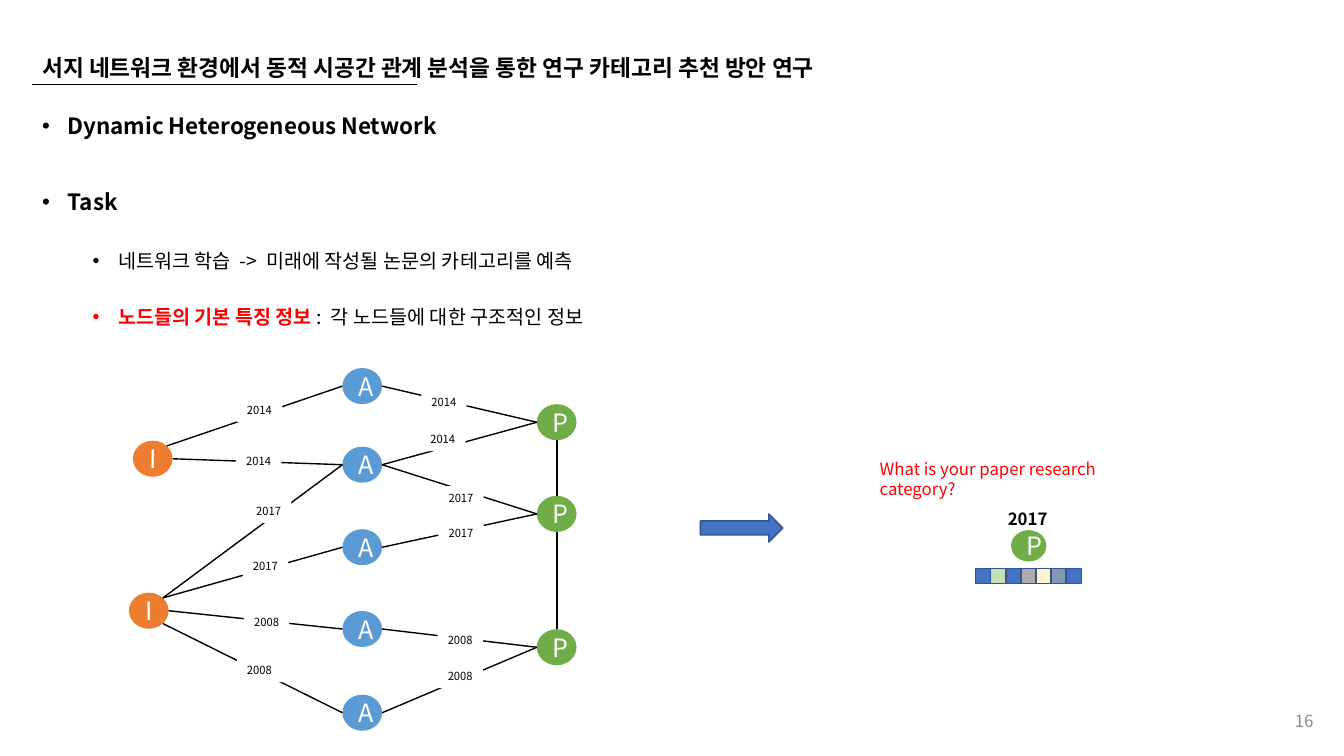
from lxml import etree
from pptx import Presentation
from pptx.dml.color import RGBColor
from pptx.enum.shapes import MSO_CONNECTOR, MSO_SHAPE
from pptx.enum.text import MSO_ANCHOR, PP_ALIGN
from pptx.oxml.ns import qn
from pptx.util import Cm, Pt

FONT = "Noto Sans CJK KR"
LINE = MSO_CONNECTOR.STRAIGHT
OVAL, RECT, ARROW = MSO_SHAPE.OVAL, MSO_SHAPE.RECTANGLE, MSO_SHAPE.RIGHT_ARROW
MIDDLE, TOP = MSO_ANCHOR.MIDDLE, MSO_ANCHOR.TOP
LEFT, CENTER, RIGHT = PP_ALIGN.LEFT, PP_ALIGN.CENTER, PP_ALIGN.RIGHT
COLORS = {
    "black": "000000", "white": "FFFFFF", "red": "FF0000", "gray": "8C8C8C",
    "I": "ED7D31", "A": "5B9BD5", "P": "70AD47", "blue": "4472C4",
    "outline": "325491", "mint": "C5E0B4", "silver": "AFABAB",
    "cream": "FFF2CC", "slate": "8497B0",
}


def add_run(p, text, size, color="black", bold=False):
    """Append a formatted run to a paragraph."""
    r = p.add_run()
    r.text = text
    r.font.size, r.font.bold, r.font.name = Pt(size), bold, FONT
    r.font.color.rgb = RGBColor.from_string(COLORS[color])
    etree.SubElement(r.font._element, qn("a:ea"), typeface=FONT)


def add_box(kind, x, y, w, h, fill=None, line=None):
    """Add a flat preset shape at a position in centimetres."""
    sp = s.shapes.add_shape(kind, Cm(x), Cm(y), Cm(w), Cm(h))
    sp.shadow.inherit = False
    if fill:
        sp.fill.solid()
        sp.fill.fore_color.rgb = RGBColor.from_string(COLORS[fill])
    if line:
        sp.line.color.rgb = RGBColor.from_string(COLORS[line])
        sp.line.width = Pt(1)
    else:
        sp.line.fill.background()
    return sp


prs = Presentation()
prs.slide_width, prs.slide_height = Cm(33.87), Cm(19.05)
s = prs.slides.add_slide(prs.slide_layouts[1])

# Title
title = s.shapes.title
title.left, title.top, title.width, title.height = Cm(0.81), Cm(1.24), Cm(24.66), Cm(0.91)
tf = title.text_frame
tf.vertical_anchor = MIDDLE
tf.paragraphs[0].alignment = LEFT
add_run(tf.paragraphs[0], "서지 네트워크 환경에서 동적 시공간 관계 분석을 통한 연구 카테고리 추천 방안 연구", 16.2, bold=True)

# Bullet list: level, space before, left indent in cm, runs
bullets = [
    (0, 0, 0.64, [("Dynamic Heterogeneous Network", 16, "black", True)]),
    (0, 37, 0.64, [("Task", 16, "black", True)]),
    (1, 26, 1.91, [("네트워크 학습  ->  미래에 작성될 논문의 카테고리를 예측", 14, "black", False)]),
    (1, 25, 1.91, [("노드들의 기본 특징 정보", 14, "red", True),
                   (" :  각 노드들에 대한 구조적인 정보", 14, "black", False)]),
]
body = s.placeholders[1]
body.left, body.top, body.width, body.height = Cm(0.81), Cm(2.77), Cm(32.54), Cm(14.88)
tf = body.text_frame
for i, (level, before, indent, runs) in enumerate(bullets):
    p = tf.add_paragraph() if i else tf.paragraphs[0]
    p.level, p.line_spacing, p.space_before = level, 0.9, Pt(before)
    pPr = p._p.get_or_add_pPr()
    pPr.set("marL", str(Cm(indent)))
    pPr.set("indent", str(-Cm(0.64)))
    etree.SubElement(pPr, qn("a:buFont"), typeface="Arial")
    etree.SubElement(pPr, qn("a:buChar"), char="•")
    for run in runs:
        add_run(p, *run)

# Network nodes: centre of each ellipse
NODE_W, NODE_H = 1.0, 0.91
centres = {
    "I1": (3.85, 11.56), "I2": (3.75, 15.39),
    "A1": (9.13, 9.73), "A2": (9.13, 11.71), "A3": (9.13, 13.79),
    "A4": (9.13, 15.85), "A5": (9.13, 17.96),
    "P1": (14.03, 10.64), "P2": (14.03, 12.95), "P3": (14.03, 16.31),
}
nodes = {}
for name, (x, y) in centres.items():
    nodes[name] = add_box(OVAL, x - NODE_W / 2, y - NODE_H / 2, NODE_W, NODE_H, name[0])

# Ellipse connection sites: index -> offset from the centre in half-sizes
SITES = {0: (0, -1), 2: (-1, 0), 4: (0, 1), 5: (0.71, 0.71), 6: (1, 0), 7: (0.71, -0.71)}
# Edges: from, site, to, site, year, centre of the year label
edges = [
    ("I1", 7, "A1", 2, "2014", (6.54, 10.34)),
    ("I1", 6, "A2", 2, "2014", (6.52, 11.63)),
    ("I2", 7, "A2", 2, "2017", (6.77, 12.88)),
    ("I2", 7, "A3", 2, "2017", (6.69, 14.27)),
    ("I2", 6, "A4", 2, "2008", (6.72, 15.67)),
    ("I2", 5, "A5", 2, "2008", (6.54, 16.89)),
    ("A1", 6, "P1", 2, "2014", (11.19, 10.13)),
    ("A2", 6, "P1", 2, "2014", (11.16, 11.07)),
    ("A2", 6, "P2", 2, "2017", (11.62, 12.55)),
    ("A3", 6, "P2", 2, "2017", (11.62, 13.44)),
    ("A4", 6, "P3", 2, "2008", (11.6, 16.13)),
    ("A5", 6, "P3", 2, "2008", (11.6, 17.04)),
    ("P1", 4, "P2", 0, None, None),
    ("P2", 4, "P3", 0, None, None),
]
# Lines: start, end, width, glued ends; the first one is the title rule
lines = [((0.81, 2.13), (10.52, 2.13), 0.5, [])]
for start, site1, end, site2, year, _ in edges:
    ends = [("a:stCxn", start, site1), ("a:endCxn", end, site2)]
    points = [(centres[n][0] + SITES[k][0] * NODE_W / 2,
               centres[n][1] + SITES[k][1] * NODE_H / 2) for _, n, k in ends]
    lines.append((*points, 1 if year else 1.5, ends))
for (x1, y1), (x2, y2), width, ends in lines:
    c = s.shapes.add_connector(LINE, Cm(x1), Cm(y1), Cm(x2), Cm(y2))
    c.line.color.rgb = RGBColor.from_string(COLORS["black"])
    c.line.width = Pt(width)
    etree.SubElement(c._element.spPr, qn("a:effectLst"))
    for tag, name, site in ends:
        etree.SubElement(c._element.nvCxnSpPr.cNvCxnSpPr, qn(tag),
                         id=str(nodes[name].shape_id), idx=str(site))

# Query paper, its feature strip and the arrow towards it
query = add_box(OVAL, 25.48, 13.36, 0.89, 0.79, "P")
CELL = 0.38
for i, color in enumerate(["blue", "mint", "blue", "silver", "cream", "slate", "blue"]):
    add_box(RECT, 24.59 + i * CELL, 14.33, CELL, CELL, color, "outline")
add_box(ARROW, 17.65, 12.95, 2.08, 0.71, "blue", "outline")

# Captions: shape, text, size, colour, bold, alignment, anchor, wrap
captions = [(sp, name[0], 18, "white", False, CENTER, MIDDLE, True)
            for name, sp in [*nodes.items(), ("P", query)]]
for *_, year, centre in edges:
    if year:
        sp = add_box(RECT, centre[0] - 0.57, centre[1] - 0.3, 1.14, 0.6, "white")
        captions.append((sp, year, 8, "black", False, CENTER, MIDDLE, False))
for x, y, w, h, *caption in [
    (25.15, 12.7, 2.0, 0.76, "2017", 12, "black", True, LEFT, TOP, True),
    (21.92, 11.43, 7.9, 0.76, "What is your paper research category?", 12, "red", False, LEFT, TOP, True),
    (25.73, 17.65, 7.62, 1.02, "16", 12, "gray", False, RIGHT, MIDDLE, True),
]:
    captions.append((s.shapes.add_textbox(Cm(x), Cm(y), Cm(w), Cm(h)), *caption))
for sp, text, size, color, bold, align, anchor, wrap in captions:
    tf = sp.text_frame
    tf.word_wrap, tf.vertical_anchor = wrap, anchor
    tf.paragraphs[0].alignment = align
    add_run(tf.paragraphs[0], text, size, color, bold)

prs.save("out.pptx")
